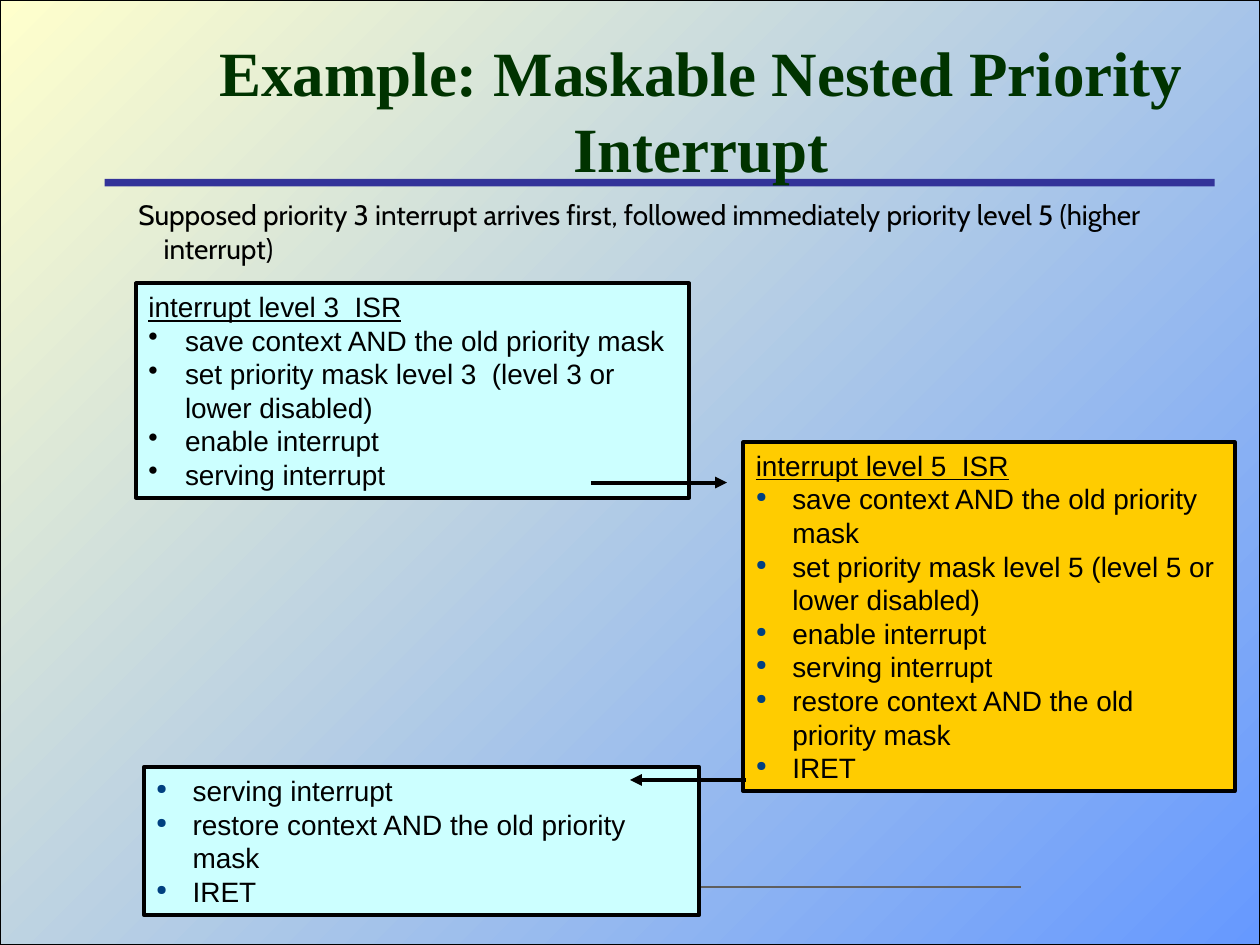
from dataclasses import dataclass
from typing import Optional

from lxml.etree import SubElement
from pptx import Presentation
from pptx.dml.color import RGBColor
from pptx.enum.shapes import MSO_CONNECTOR as Connector, MSO_SHAPE as Preset
from pptx.enum.text import MSO_ANCHOR as Anchor, MSO_AUTO_SIZE as AutoSize, PP_ALIGN as Align
from pptx.oxml.ns import qn
from pptx.util import Emu, Pt

EMU_PER_PX = 9144
BLACK = RGBColor(0x00, 0x00, 0x00)
CREAM = RGBColor(0xFF, 0xFF, 0xCC)
SKY = RGBColor(0x66, 0x99, 0xFF)
INDIGO = RGBColor(0x33, 0x33, 0x99)
GRAY = RGBColor(0x5F, 0x5F, 0x5F)
CYAN = RGBColor(0xCC, 0xFF, 0xFF)
GOLD = RGBColor(0xFF, 0xCC, 0x00)
GREEN = RGBColor(0x00, 0x33, 0x00)
NAVY = RGBColor(0x00, 0x40, 0x80)


@dataclass(frozen=True)
class Area:
    left: int
    top: int
    width: int
    height: int


@dataclass(frozen=True)
class Bullet:
    character: str
    color: RGBColor
    percent: int


@dataclass(frozen=True)
class Routine:
    area: Area
    fill: RGBColor
    bullet: Bullet
    steps: tuple[str, ...]
    heading: Optional[str] = None


@dataclass(frozen=True)
class Line:
    start: int
    end: int
    y: int
    color: RGBColor = BLACK
    weight: float = 2.25
    arrow: bool = True


SMALL_DOT = Bullet("●", NAVY, 50)
DOT = Bullet("•", BLACK, 100)
SAVE = "save context AND the old priority mask"
ENABLE = "enable interrupt"
SERVE = "serving interrupt"
FINISH = ("restore context AND the old priority mask", "IRET")

RESUMED = Routine(Area(114, 609, 441, 117), CYAN, SMALL_DOT, (SERVE, *FINISH))
LEVEL_5 = Routine(
    Area(590, 351, 390, 277), GOLD, SMALL_DOT,
    (SAVE, "set priority mask level 5 (level 5 or lower disabled)", ENABLE, SERVE, *FINISH),
    "interrupt level 5  ISR",
)
LEVEL_3 = Routine(
    Area(108, 225, 439, 170), CYAN, DOT,
    (SAVE, "set priority mask level 3  (level 3 or lower disabled)", ENABLE, SERVE),
    "interrupt level 3  ISR",
)
FOOTER_LINE = Line(243, 810, 704, GRAY, 1.5, False)
ARROWS = (Line(469, 577, 383), Line(592, 500, 619))


def px(value: int) -> Emu:
    return Emu(value * EMU_PER_PX)


def place(shape, area: Area) -> None:
    shape.left, shape.top = px(area.left), px(area.top)
    shape.width, shape.height = px(area.width), px(area.height)


def add_rectangle(slide, area: Area, fill: Optional[RGBColor] = None, weight: float = 0):
    shape = slide.shapes.add_shape(Preset.RECTANGLE, 0, 0, 0, 0)
    place(shape, area)
    shape.shadow.inherit = False
    if fill is not None:
        shape.fill.solid()
        shape.fill.fore_color.rgb = fill
    if weight:
        shape.line.color.rgb = BLACK
        shape.line.width = Pt(weight)
    else:
        shape.line.fill.background()
    return shape


def add_backdrop(slide) -> None:
    slide.background.fill.solid()
    slide.background.fill.fore_color.rgb = CREAM
    fill = add_rectangle(slide, Area(0, 0, 1000, 750), weight=0.75).fill
    fill.gradient()
    fill.gradient_angle = 135
    for stop, color in zip(fill.gradient_stops, (SKY, CREAM)):
        stop.color.rgb = color


def add_line(slide, line: Line) -> None:
    connector = slide.shapes.add_connector(
        Connector.STRAIGHT, px(line.start), px(line.y), px(line.end), px(line.y)
    )
    connector.line.color.rgb = line.color
    connector.line.width = Pt(line.weight)
    if line.arrow:
        SubElement(connector.line._get_or_add_ln(), qn("a:tailEnd"), type="triangle")
    SubElement(connector.element.spPr, qn("a:effectLst"))


def style(paragraph, name: str, size: int, color: RGBColor) -> None:
    paragraph.font.name = name
    paragraph.font.size = Pt(size)
    paragraph.font.color.rgb = color


def hang(paragraph, indent: int):
    properties = paragraph._p.get_or_add_pPr()
    properties.set("marL", str(px(indent)))
    properties.set("indent", str(-px(indent)))
    return properties


def add_bullet(paragraph, bullet: Bullet) -> None:
    properties = hang(paragraph, 29)
    color = SubElement(properties, qn("a:buClr"))
    SubElement(color, qn("a:srgbClr"), val=str(bullet.color))
    SubElement(properties, qn("a:buSzPct"), val=str(bullet.percent * 1000))
    SubElement(properties, qn("a:buChar"), char=bullet.character)


def add_routine(slide, routine: Routine) -> None:
    frame = add_rectangle(slide, routine.area, routine.fill, 2.25).text_frame
    frame.word_wrap = True
    frame.auto_size = AutoSize.SHAPE_TO_FIT_TEXT
    frame.vertical_anchor = Anchor.TOP
    heading = (routine.heading,) if routine.heading else ()
    for index, text in enumerate(heading + routine.steps):
        paragraph = frame.add_paragraph() if index else frame.paragraphs[0]
        paragraph.text = text
        paragraph.alignment = Align.LEFT
        is_heading = index < len(heading)
        if not is_heading:
            add_bullet(paragraph, routine.bullet)
        style(paragraph, "Arial", 16, BLACK)
        paragraph.font.underline = is_heading


def add_title(slide) -> None:
    title = slide.shapes.title
    slide.shapes.element.append(title.element)
    place(title, Area(146, 33, 821, 108))
    frame = title.text_frame
    frame.text = "Example: Maskable Nested Priority Interrupt"
    frame.word_wrap = True
    frame.auto_size = AutoSize.NONE
    frame.vertical_anchor = Anchor.MIDDLE
    paragraph = frame.paragraphs[0]
    paragraph.alignment = Align.CENTER
    style(paragraph, "Times New Roman", 36, GREEN)
    paragraph.font.bold = True


def add_premise(slide) -> None:
    box = slide.shapes.add_textbox(0, 0, 0, 0)
    place(box, Area(100, 152, 875, 271))
    box.text_frame.word_wrap = True
    paragraph = box.text_frame.paragraphs[0]
    paragraph.text = (
        "Supposed priority 3 interrupt arrives first, "
        "followed immediately priority level 5 (higher interrupt)"
    )
    hang(paragraph, 20)
    style(paragraph, "Cabin", 16, BLACK)


def main() -> None:
    presentation = Presentation()
    presentation.slide_width, presentation.slide_height = px(1000), px(750)
    slide = presentation.slides.add_slide(presentation.slide_layouts[5])
    add_backdrop(slide)
    add_rectangle(slide, Area(83, 142, 881, 6), INDIGO)
    add_line(slide, FOOTER_LINE)
    add_routine(slide, RESUMED)
    add_title(slide)
    add_premise(slide)
    for routine in (LEVEL_5, LEVEL_3):
        add_routine(slide, routine)
    for arrow in ARROWS:
        add_line(slide, arrow)
    presentation.save("out.pptx")


if __name__ == "__main__":
    main()
